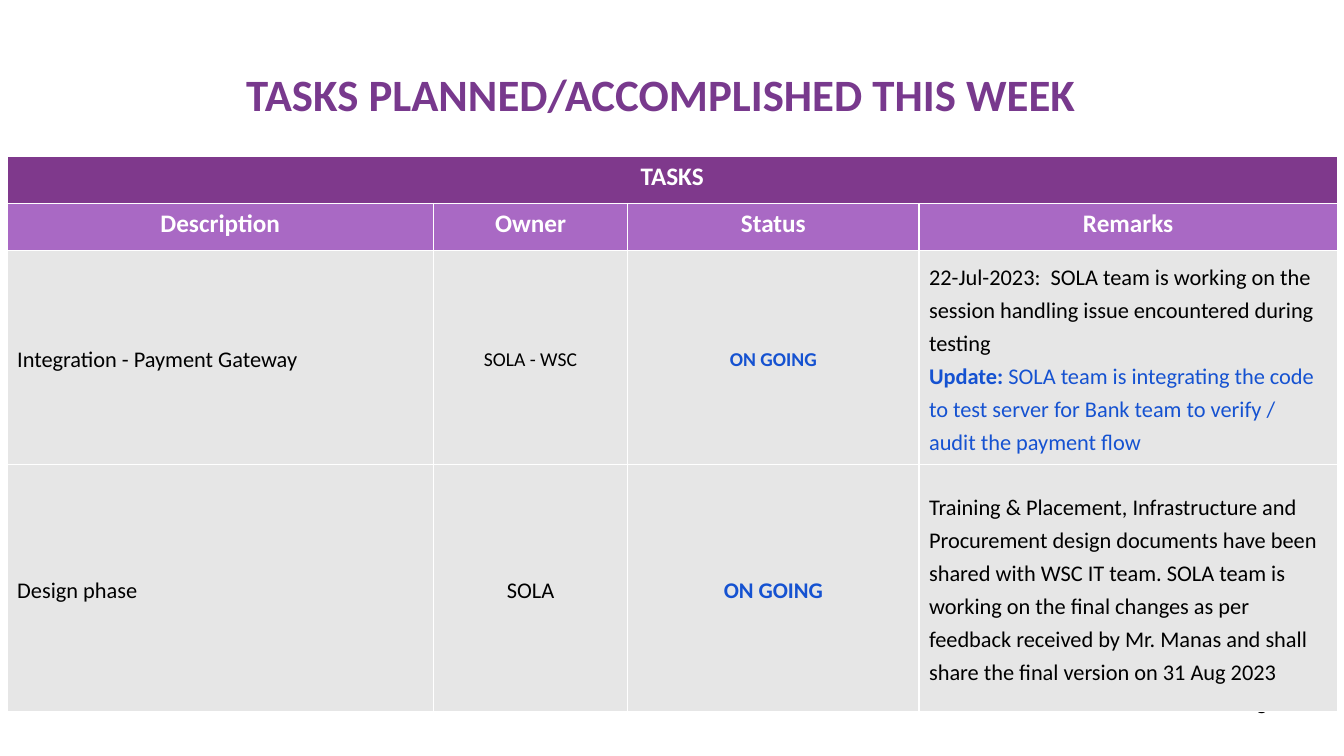
from dataclasses import dataclass

from lxml.etree import SubElement
from pptx import Presentation
from pptx.dml.color import RGBColor
from pptx.enum.text import MSO_ANCHOR as Anchor, PP_ALIGN as Align
from pptx.oxml.ns import qn
from pptx.slide import Slide
from pptx.table import Table, _Cell as Cell
from pptx.util import Cm, Pt

WHITE = RGBColor(0xFF, 0xFF, 0xFF)
BLACK = RGBColor(0x00, 0x00, 0x00)
BLUE = RGBColor(0x15, 0x52, 0xD1)
TITLE_PURPLE = RGBColor(0x78, 0x39, 0x8D)
DARK_PURPLE = RGBColor(0x7F, 0x39, 0x8C)
LIGHT_PURPLE = RGBColor(0xA9, 0x69, 0xC4)
GREY = RGBColor(0xE6, 0xE6, 0xE6)

COL_WIDTHS = (10.74, 4.9, 7.34, 10.54)
ROW_HEIGHTS = (1.19, 1.19, 5.38, 6.22)
HEADINGS = ("Description", "Owner", "Status", "Remarks")


@dataclass(frozen=True)
class Para:
    text: str
    color: RGBColor = BLACK
    bold: bool = False
    size: int = 16
    lead: str = ""  # bold opening words


@dataclass(frozen=True)
class Task:
    description: str
    owner: str
    status: str
    remarks: tuple[Para, ...]
    label_size: int = 16

    def cells(self) -> list[tuple[Para, ...]]:
        return [
            (Para(self.description),),
            (Para(self.owner, size=self.label_size),),
            (Para(self.status, BLUE, True, self.label_size),),
            self.remarks,
        ]


TASKS = (
    Task("Integration - Payment Gateway", "SOLA - WSC", "ON GOING", (
        Para("22-Jul-2023:  SOLA team is working on the session handling issue "
             "encountered during testing"),
        Para("SOLA team is integrating the code to test server for Bank team "
             "to verify / audit the payment flow", BLUE, lead="Update: "),
    ), label_size=14),
    Task("Design phase", "SOLA", "ON GOING", (
        Para("Training & Placement, Infrastructure and Procurement design "
             "documents have been shared with WSC IT team. SOLA team is working "
             "on the final changes as per feedback received by Mr. Manas and "
             "shall share the final version on 31 Aug 2023"),
    )),
)


def set_borders(cell: Cell) -> None:
    """Give all four sides a thin white line; call before setting the fill."""
    tc_pr = cell._tc.get_or_add_tcPr()
    for side in ("a:lnL", "a:lnR", "a:lnT", "a:lnB"):
        ln = SubElement(tc_pr, qn(side), w=str(Pt(1)))
        SubElement(SubElement(ln, qn("a:solidFill")), qn("a:srgbClr"), val=str(WHITE))


def fill_cell(cell: Cell, paras: tuple[Para, ...], fill: RGBColor,
              align: Align, anchor: Anchor, spacing: float) -> None:
    cell.fill.solid()
    cell.fill.fore_color.rgb = fill
    cell.vertical_anchor = anchor
    tf = cell.text_frame
    for i, para in enumerate(paras):
        p = tf.add_paragraph() if i else tf.paragraphs[0]
        p.alignment, p.line_spacing = align, spacing
        p.font.name, p.font.size = "Calibri", Pt(para.size)
        p.font.color.rgb = para.color
        p.font.bold = para.bold
        if para.lead:
            r = p.add_run()
            r.text, r.font.bold = para.lead, True
        p.add_run().text = para.text


def fill_header(cell: Cell, text: str, fill: RGBColor) -> None:
    fill_cell(cell, (Para(text, WHITE, True, 18),), fill,
              Align.CENTER, Anchor.TOP, 1.0)


def add_title(s: Slide) -> None:
    title = s.shapes.title
    title.left, title.top, title.width, title.height = Cm(1.42), Cm(0.76), Cm(30.48), Cm(3.18)
    tf = title.text_frame
    tf.text = "TASKS PLANNED/ACCOMPLISHED THIS WEEK"
    tf.vertical_anchor = Anchor.MIDDLE
    p = tf.paragraphs[0]
    p.alignment = Align.CENTER
    p.font.name, p.font.size, p.font.bold = "Calibri", Pt(32), True
    p.font.color.rgb = TITLE_PURPLE


def add_page_number(s: Slide) -> None:
    tf = s.shapes.add_textbox(Cm(24.28), Cm(17.35), Cm(7.9), Cm(1.32)).text_frame
    tf.word_wrap = True
    p = tf.paragraphs[0]
    p.text, p.alignment = "3", Align.RIGHT
    p.font.name, p.font.size = "Arial", Pt(14)
    p.font.color.rgb = BLACK


def add_task_table(s: Slide) -> Table:
    tbl = s.shapes.add_table(len(ROW_HEIGHTS), len(COL_WIDTHS), Cm(0.18), Cm(3.94),
                             Cm(sum(COL_WIDTHS)), Cm(sum(ROW_HEIGHTS))).table
    tbl.first_row = tbl.horz_banding = False
    for col, width in zip(tbl.columns, COL_WIDTHS):
        col.width = Cm(width)
    for row, height in zip(tbl.rows, ROW_HEIGHTS):
        row.height = Cm(height)
    for cell in tbl.iter_cells():
        set_borders(cell)

    tbl.cell(0, 0).merge(tbl.cell(0, len(COL_WIDTHS) - 1))
    fill_header(tbl.cell(0, 0), "TASKS", DARK_PURPLE)
    for c, heading in enumerate(HEADINGS):
        fill_header(tbl.cell(1, c), heading, LIGHT_PURPLE)
    aligns = (Align.LEFT, Align.CENTER, Align.CENTER, Align.LEFT)
    for r, task in enumerate(TASKS, start=2):
        for c, (paras, align) in enumerate(zip(task.cells(), aligns)):
            fill_cell(tbl.cell(r, c), paras, GREY, align, Anchor.MIDDLE, 1.2)
    return tbl


def main() -> None:
    prs = Presentation()
    prs.slide_width, prs.slide_height = Cm(33.87), Cm(19.05)
    s = prs.slides.add_slide(prs.slide_layouts[5])
    add_page_number(s)
    add_title(s)
    add_task_table(s)
    prs.save("out.pptx")


if __name__ == "__main__":
    main()
